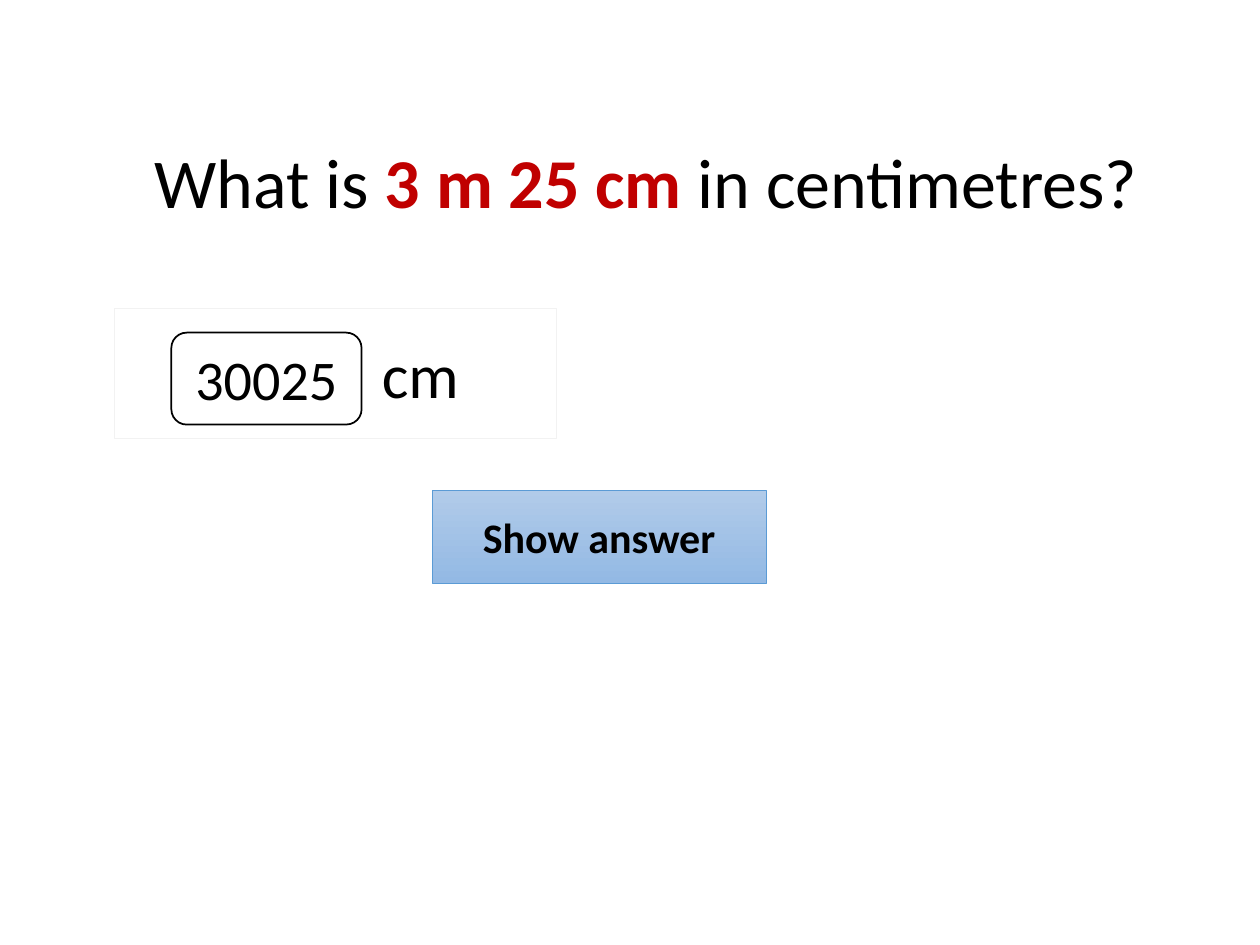
from pptx import Presentation
from pptx.dml.color import RGBColor
from pptx.enum.shapes import MSO_SHAPE as Shape
from pptx.enum.text import MSO_ANCHOR as Anchor, PP_ALIGN as Align
from pptx.util import Inches, Pt

BLACK = "000000"


def paint(color, value):
    color.rgb = RGBColor.from_string(value)


def write(tf, runs, size, align):
    p = tf.paragraphs[0]
    p.alignment = align
    for text, color, bold in runs:
        r = p.add_run()
        r.text = text
        font = {"name": "Calibri", "size": Pt(size), "bold": bold}
        for key, value in font.items():
            setattr(r.font, key, value)
        paint(r.font.color, color)


def add_question(slide, box, runs, size):
    tf = slide.shapes.add_textbox(*map(Inches, box)).text_frame
    tf.word_wrap = False
    write(tf, runs, size, Align.LEFT)


def fill_shape(sp, colors):
    if not colors:
        sp.fill.background()
    elif len(colors) == 1:
        sp.fill.solid()
        paint(sp.fill.fore_color, colors[0])
    else:
        sp.fill.gradient()
        sp.fill.gradient_angle = 270
        for stop, color in zip(sp.fill.gradient_stops, colors):
            paint(stop.color, color)


def add_box(slide, kind, box, colors, line, text, size, bold=False,
            align=Align.CENTER, inset=0.1):
    sp = slide.shapes.add_shape(kind, *map(Inches, box))
    sp.shadow.inherit = False
    fill_shape(sp, colors)
    line_color, width = line
    paint(sp.line.color, line_color)
    sp.line.width = Pt(width)
    tf = sp.text_frame
    layout = {"word_wrap": True, "vertical_anchor": Anchor.MIDDLE,
              "margin_left": Inches(inset)}
    for key, value in layout.items():
        setattr(tf, key, value)
    write(tf, [(text, BLACK, bold)], size, align)


def main():
    prs = Presentation()
    prs.slide_width, prs.slide_height = Inches(10), Inches(7.5)
    s = prs.slides.add_slide(prs.slide_layouts[6])

    add_box(s, Shape.RECTANGLE, (0.91, 2.45, 3.51, 1.03), [],
            ("F2F2F2", 0.5), "cm", 36, align=Align.LEFT, inset=2.12)
    add_question(s, (1.13, 1.05, 8.06, 0.77),
                 [("What is ", BLACK, False),
                  ("3 m 25 cm ", "C00000", True),
                  ("in centimetres?", BLACK, False)], 40)
    add_box(s, Shape.RECTANGLE, (3.43, 3.89, 2.65, 0.74),
            ["B1CBE9", "93B9E4"], ("5B9BD5", 0.5), "Show answer", 24, bold=True)
    add_box(s, Shape.ROUNDED_RECTANGLE, (1.36, 2.64, 1.51, 0.73),
            ["FFFFFF"], (BLACK, 1), "30025", 32)

    prs.save("out.pptx")


if __name__ == "__main__":
    main()
